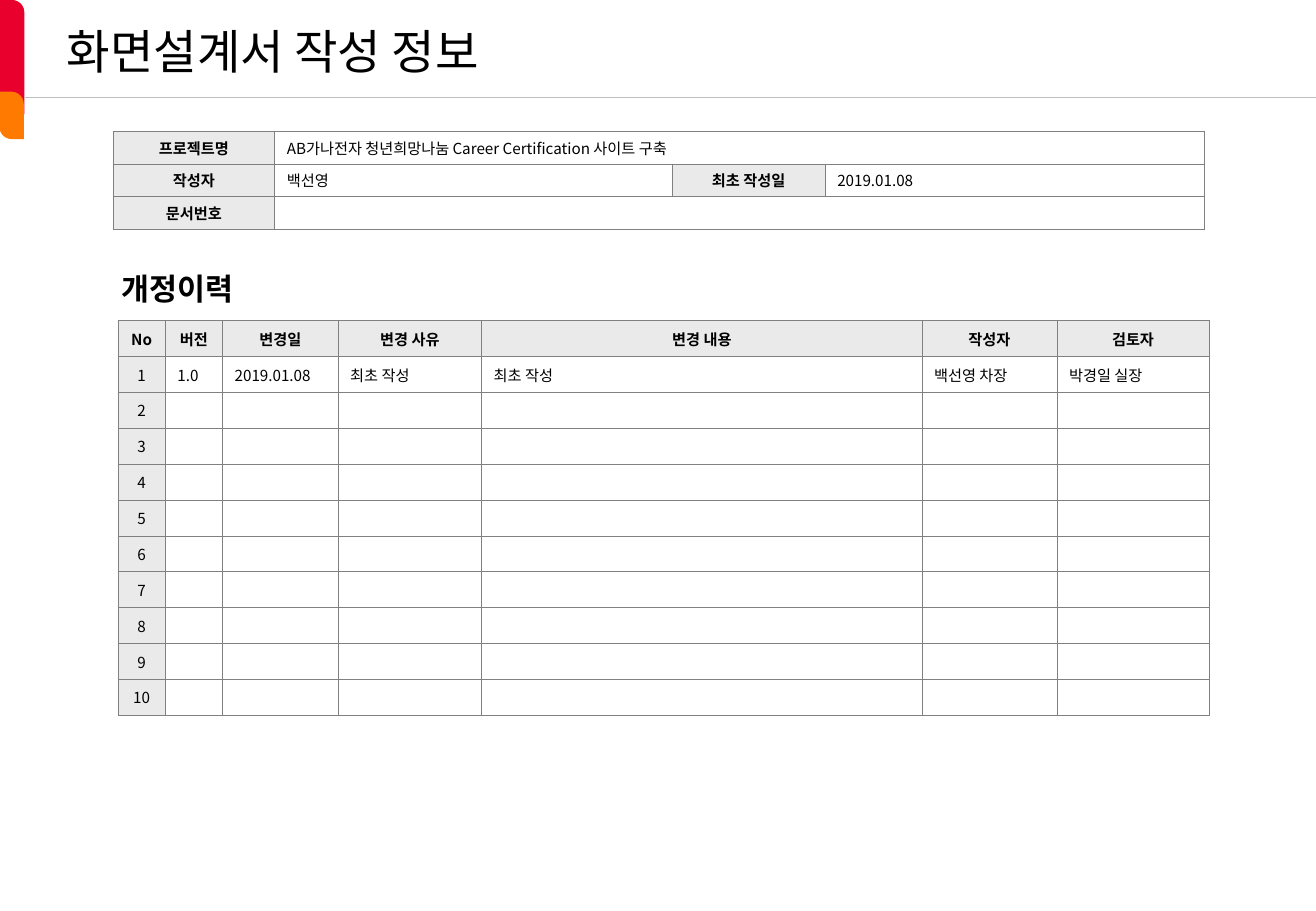
"""Build the document information slide with its project table and revision history."""
import lxml.etree
import pptx
import pptx.dml.color
import pptx.enum.shapes
import pptx.enum.text
import pptx.oxml
import pptx.oxml.ns
import pptx.util

FONT = "Noto Sans CJK KR"
COLORS = {"red": "EA002C", "orange": "FF7A00", "text": "000000",
          "rule": "BFBFBF", "border": "808080", "label": "EAEAEA"}
RGB = {k: pptx.dml.color.RGBColor.from_string(v) for k, v in COLORS.items()}
qn = pptx.oxml.ns.qn
LEFT, CENTER = pptx.enum.text.PP_ALIGN.LEFT, pptx.enum.text.PP_ALIGN.CENTER
MIDDLE = pptx.enum.text.MSO_ANCHOR.MIDDLE

prs = pptx.Presentation()
prs.slide_width, prs.slide_height = pptx.util.Inches(10.83), pptx.util.Inches(7.5)
s = prs.slides.add_slide(prs.slide_layouts[5])


def box(x, y, w, h):
    """Turn percentages of the slide into left, top, width and height."""
    sides = (prs.slide_width, prs.slide_height) * 2
    return [round(side * v / 100) for side, v in zip(sides, (x, y, w, h))]


def write(tf, text, size, bold=False, **para):
    """Write one formatted paragraph."""
    p = tf.paragraphs[0]
    for key, value in para.items():
        setattr(p, key, value)
    if not text:
        lxml.etree.SubElement(p._p, qn("a:endParaRPr"), sz=str(size * 100))
        return
    r = p.add_run()
    r.text = text
    for key, value in {"size": pptx.util.Pt(size), "bold": bold, "name": FONT}.items():
        setattr(r.font, key, value)
    r.font.color.rgb = RGB["text"]
    lxml.etree.SubElement(r._r.get_or_add_rPr(), qn("a:ea"), typeface=FONT)


for color, place in {"red": (-3.42, 4.93, 8.68, 2.67),
                     "orange": (-0.92, 11.33, 3.6, 2.67)}.items():
    sp = s.shapes.add_shape(pptx.enum.shapes.MSO_SHAPE.ROUND_2_DIAG_RECTANGLE, *box(*place))
    sp.rotation = 270
    sp.adjustments[0], sp.adjustments[1] = 0.5, 0
    sp.shadow.inherit = False
    sp.fill.solid()
    sp.fill.fore_color.rgb = RGB[color]
    sp.line.fill.background()

x, y, w, h = box(1.85, 10.67, 98.15, 0)
rule = s.shapes.add_connector(pptx.enum.shapes.MSO_CONNECTOR.STRAIGHT, x, y, x + w, y)
rule.line.color.rgb = RGB["rule"]
rule.line.width = pptx.util.Pt(0.25)
lxml.etree.SubElement(rule._element.spPr, qn("a:effectLst"))

title = s.shapes.title
heading = s.shapes.add_textbox(*box(8.31, 28.93, 79.59, 5.87))
for sp, place, text, size, bold, anchor in (
        (title, (4.16, 2.53, 39.43, 7.47), "화면설계서 작성 정보", 28, False,
         pptx.enum.text.MSO_ANCHOR.TOP),
        (heading, (8.31, 28.93, 79.59, 5.87), "개정이력", 18, True, MIDDLE)):
    for key, value in zip(("left", "top", "width", "height"), box(*place)):
        setattr(sp, key, value)
    tf = sp.text_frame
    for key, value in {"word_wrap": True, "vertical_anchor": anchor,
                       "auto_size": pptx.enum.text.MSO_AUTO_SIZE.NONE}.items():
        setattr(tf, key, value)
    write(tf, text, size, bold, alignment=LEFT, line_spacing=0.9)

project = [["프로젝트명", "AB가나전자 청년희망나눔 Career Certification 사이트 구축", "", ""],
           ["작성자", "백선영", "최초 작성일", "2019.01.08"],
           ["문서번호", "", "", ""]]
history = [["No", "버전", "변경일", "변경 사유", "변경 내용", "작성자", "검토자"],
           ["1", "1.0", "2019.01.08", "최초 작성", "최초 작성", "백선영 차장", "박경일 실장"]]
history += [[str(n)] + [""] * 6 for n in range(2, 11)]
project_labels = {(0, 0), (1, 0), (2, 0), (1, 2)}
history_heads = {(0, c) for c in range(7)}
history_numbers = {(r, 0) for r in range(1, 11)}

for rows, place, weights, heads, numbers, merged, before in (
        (project, (8.59, 14.4, 82.92, 10.8), (133, 327, 126, 312),
         project_labels, set(), (0, 2), 1.8),
        (history, (8.96, 35.2, 82.92, 43.33), (39, 47, 95, 118, 362, 111, 125),
         history_heads, history_numbers, (), 0)):
    x, y, w, h = box(*place)
    table = s.shapes.add_table(len(rows), len(weights), x, y, w, h).table
    table.first_row = table.horz_banding = False
    for col, weight in zip(table.columns, weights):
        col.width = round(w * weight / sum(weights))
    for i, row in enumerate(rows):
        table.rows[i].height = round(h / len(rows))
        for j, text in enumerate(row):
            cell = table.cell(i, j)
            for key, value in {"vertical_anchor": MIDDLE,
                               "margin_left": pptx.util.Inches(0.1),
                               "margin_right": pptx.util.Inches(0.1),
                               "margin_top": pptx.util.Inches(0.04),
                               "margin_bottom": pptx.util.Inches(0.04)}.items():
                setattr(cell, key, value)
            for side in ("lnL", "lnR", "lnT", "lnB"):
                ln = lxml.etree.SubElement(cell._tc.get_or_add_tcPr(), qn("a:" + side),
                                           w=str(pptx.util.Pt(0.5)))
                fill = lxml.etree.SubElement(ln, qn("a:solidFill"))
                lxml.etree.SubElement(fill, qn("a:srgbClr"), val=COLORS["border"])
            labelled = (i, j) in heads | numbers
            if labelled:
                cell.fill.solid()
                cell.fill.fore_color.rgb = RGB["label"]
            else:
                cell.fill.background()
            write(cell.text_frame, text, 9, (i, j) in heads,
                  alignment=CENTER if labelled else LEFT,
                  space_before=pptx.util.Pt(before))
    for i in merged:
        table.cell(i, 1).merge(table.cell(i, len(weights) - 1))

prs.save("out.pptx")
